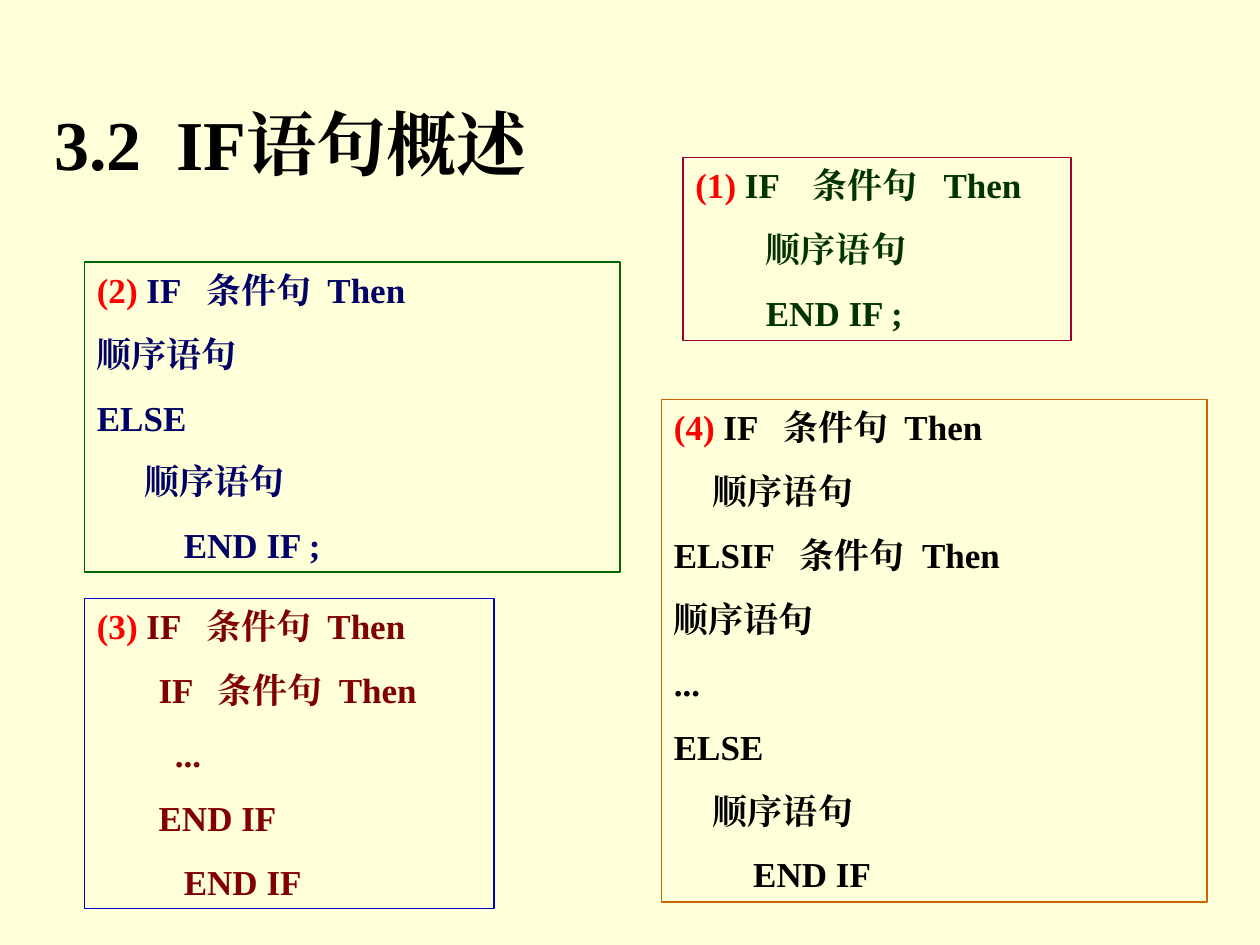
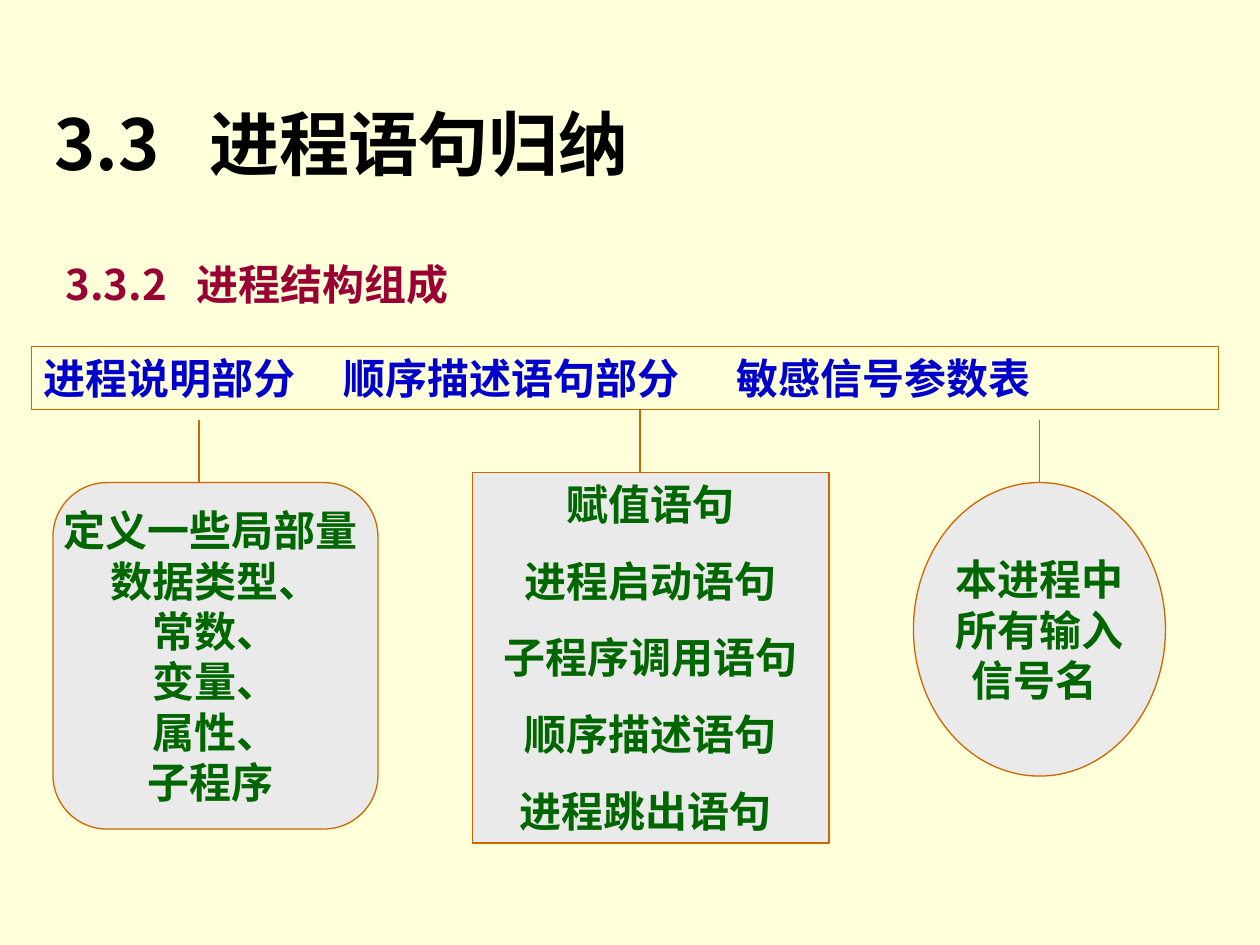
from pptx import Presentation
from pptx.dml.color import RGBColor
from pptx.enum.shapes import MSO_CONNECTOR, MSO_SHAPE
from pptx.enum.text import MSO_ANCHOR, PP_ALIGN
from pptx.oxml.ns import qn
from pptx.util import Inches, Pt
from lxml.etree import SubElement

# Shared colours and fonts
CREAM = RGBColor(0xFF, 0xFF, 0xD9)
INK = RGBColor(0x01, 0x00, 0x00)
BLACK = RGBColor(0x00, 0x00, 0x00)
RED = RGBColor(0xFF, 0x00, 0x00)
CRIMSON = RGBColor(0x99, 0x00, 0x33)
MAROON = RGBColor(0x80, 0x00, 0x00)
GREEN = RGBColor(0x00, 0x66, 0x00)
DARK_GREEN = RGBColor(0x00, 0x33, 0x00)
NAVY = RGBColor(0x00, 0x00, 0x66)
BLUE = RGBColor(0x00, 0x00, 0xCC)
ORANGE = RGBColor(0xCC, 0x66, 0x00)
GREY = RGBColor(0xEA, 0xEA, 0xEA)
SERIF = "Times New Roman"
SANS = "Noto Sans CJK SC"


def add_run(paragraph, text, size, font, color):
    run = paragraph.add_run()
    run.text = text
    run.font.size = Pt(size)
    run.font.bold = True
    run.font.name = font
    run.font.color.rgb = color
    SubElement(run._r.get_or_add_rPr(), qn("a:ea")).set("typeface", font)


def set_tabs(paragraph, stops):
    if stops:
        tab_list = SubElement(paragraph._p.get_or_add_pPr(), qn("a:tabLst"))
        for stop in stops:
            SubElement(tab_list, qn("a:tab"), pos=str(Inches(stop)), algn="l")


def add_line(frame, index, runs, size, font, align=PP_ALIGN.LEFT, before=0, stops=()):
    """Write one paragraph from (text, colour) runs."""
    paragraph = frame.add_paragraph() if index else frame.paragraphs[0]
    paragraph.alignment = align
    paragraph.space_before = Pt(before)
    set_tabs(paragraph, stops)
    for text, color in runs:
        add_run(paragraph, text, size, font, color)


def add_title_slide(deck, title, font, stop):
    slide = deck.slides.add_slide(deck.slide_layouts[5])
    slide.background.fill.solid()
    slide.background.fill.fore_color.rgb = CREAM
    heading = slide.shapes.title
    heading.left, heading.top = Inches(0.33), Inches(0.75)
    heading.width, heading.height = Inches(9.08), Inches(0.77)
    heading.text_frame.vertical_anchor = MSO_ANCHOR.TOP
    add_line(heading.text_frame, 0, [(title, INK)], 40, font, before=25, stops=[stop])
    return slide


def add_panel(slide, box, outline, fill=None, kind=MSO_SHAPE.RECTANGLE,
              anchor=MSO_ANCHOR.TOP, wrap=True):
    panel = slide.shapes.add_shape(kind, *map(Inches, box))
    panel.shadow.inherit = False
    if fill is None:
        panel.fill.background()
    else:
        panel.fill.solid()
        panel.fill.fore_color.rgb = fill
    panel.line.color.rgb = outline
    panel.line.width = Pt(0.75)
    panel.text_frame.vertical_anchor = anchor
    panel.text_frame.word_wrap = wrap
    return panel.text_frame


def add_code_box(slide, box, number, color, outline, lines, fill=None):
    """Framed syntax form; each line is its text and its tab stops."""
    frame = add_panel(slide, box, outline, fill)
    for index, (text, *stops) in enumerate(lines):
        runs = [(text, color)]
        if index == 0:
            runs.insert(0, (f"({number})", RED))
        add_line(frame, index, runs, 20, SERIF, before=12.5, stops=stops)


def add_part(slide, box, lines, kind, stem_x, before=0, anchor=MSO_ANCHOR.MIDDLE, wrap=False):
    """Grey panel with a half-inch stem rising from its top edge."""
    frame = add_panel(slide, box, ORANGE, GREY, kind, anchor, wrap)
    for index, text in enumerate(lines):
        add_line(frame, index, [(text, GREEN)], 24, SANS, PP_ALIGN.CENTER, before)
    x, top = Inches(stem_x), Inches(box[1])
    stem = slide.shapes.add_connector(MSO_CONNECTOR.STRAIGHT, x, top - Inches(0.5), x, top)
    stem.line.color.rgb = ORANGE
    stem.line.width = Pt(0.75)
    SubElement(stem._element.spPr, qn("a:effectLst"))


def build_if_forms(deck):
    slide = add_title_slide(deck, "3.2\tIF语句概述", SERIF, 0.97)
    header = (" IF\t条件句\tThen", 0.87, 1.83)
    add_code_box(slide, (5.42, 1.25, 3.08, 1.45), 1, DARK_GREEN, CRIMSON, [
        (" IF\t条件句\tThen", 0.93, 1.97),
        ("\t顺序语句", 0.56),
        ("\tEND IF ;", 0.56)])
    add_code_box(slide, (0.67, 2.08, 4.25, 2.46), 2, NAVY, GREEN, [
        header,
        ("顺序语句",),
        ("ELSE",),
        ("\t顺序语句", 0.38),
        ("\tEND IF ;", 0.69)])
    add_code_box(slide, (0.67, 4.75, 3.25, 2.46), 3, MAROON, BLUE, [
        header,
        ("\tIF\t条件句\tThen", 0.49, 0.96, 1.92),
        ("\t...", 0.62),
        ("\tEND IF", 0.49),
        ("\tEND IF", 0.69)])
    add_code_box(slide, (5.25, 3.17, 4.33, 3.99), 4, BLACK, ORANGE, [
        header,
        ("\t顺序语句", 0.31),
        ("ELSIF\t条件句\tThen", 1.0, 1.97),
        ("顺序语句",),
        ("...",),
        ("ELSE",),
        ("\t顺序语句", 0.31),
        ("\tEND IF", 0.63)], CREAM)


def build_process_structure(deck):
    slide = add_title_slide(deck, "3.3\t进程语句归纳", SANS, 1.23)

    # Section heading
    section = slide.shapes.add_textbox(*map(Inches, (0.42, 2, 6.17, 0.5))).text_frame
    section.word_wrap = True
    add_line(section, 0, [("3.3.2\t进程结构组成", CRIMSON)], 24, SANS, stops=[1.04])

    # Band naming the three parts
    band = add_panel(slide, (0.25, 2.75, 9.42, 0.5), ORANGE)
    add_line(band, 0, [("进程说明部分\t顺序描述语句部分\t敏感信号参数表", BLUE)],
             24, SANS, before=15, stops=[2.38, 5.5])

    # Contents of each part
    add_part(slide, (3.75, 3.75, 2.83, 2.94),
             ["赋值语句", "进程启动语句", "子程序调用语句", "顺序描述语句", "进程跳出语句 "],
             MSO_SHAPE.RECTANGLE, 5.08, before=15, anchor=MSO_ANCHOR.TOP, wrap=True)
    add_part(slide, (7.25, 3.83, 2, 2.33), ["本进程中", "所有输入", "信号名 "],
             MSO_SHAPE.OVAL, 8.25)
    add_part(slide, (0.42, 3.83, 2.58, 2.75),
             ["定义一些局部量 ", "数据类型、", "常数、", "变量、", "属性、", "子程序 "],
             MSO_SHAPE.FLOWCHART_ALTERNATE_PROCESS, 1.58)


def main():
    deck = Presentation()
    deck.slide_width, deck.slide_height = Inches(10), Inches(7.5)
    build_if_forms(deck)
    build_process_structure(deck)
    deck.save("out.pptx")


if __name__ == "__main__":
    main()
